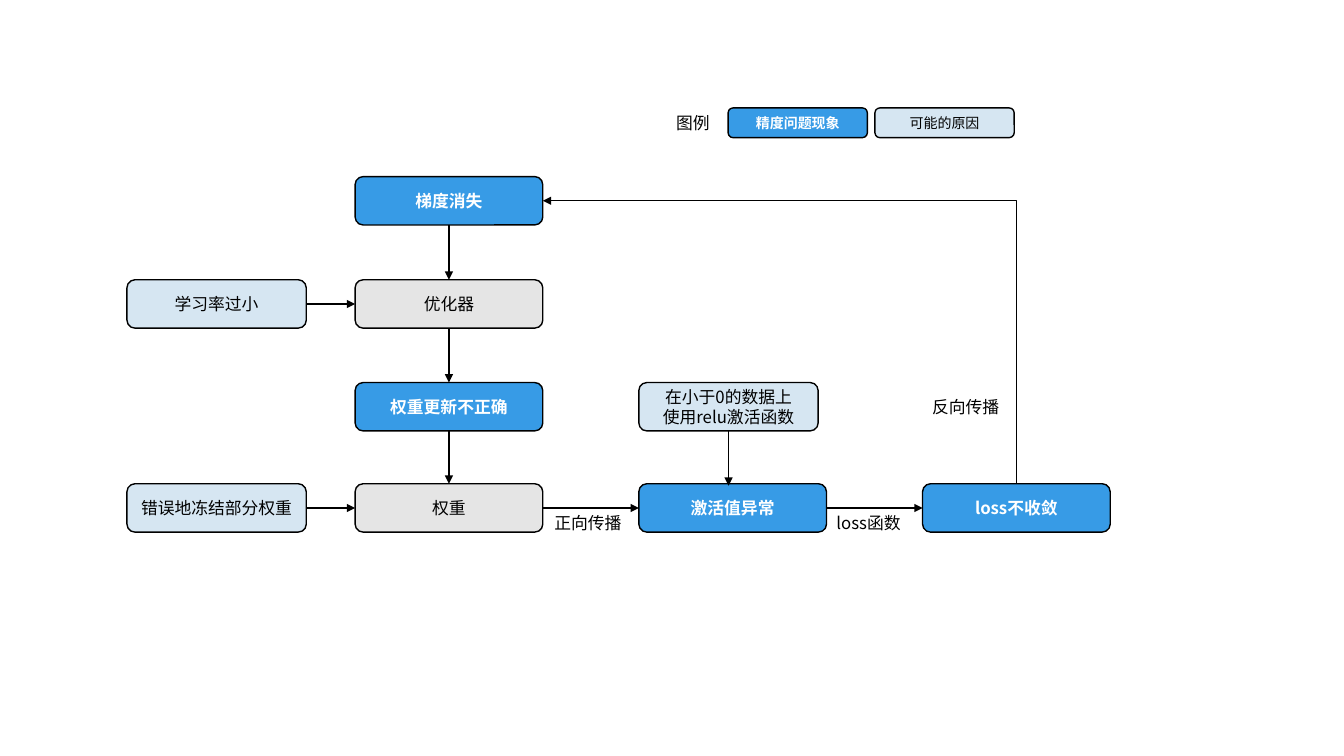
import pptx
import pptx.dml.color
import pptx.enum.shapes
import pptx.enum.text
import pptx.oxml
import pptx.oxml.ns
import pptx.util
from pptx.util import Cm

FONT = "Noto Sans CJK SC"
BLACK, WHITE = "000000", "FFFFFF"
SYMPTOM, CAUSE, STAGE = "379BE6", "D6E6F2", "E5E5E5"
BOX_WIDTH, CAUSE_WIDTH, BOX_HEIGHT = 4.73, 4.52, 1.22
qn = pptx.oxml.ns.qn


def color(value):
    return pptx.dml.color.RGBColor.from_string(value)


def write(shape, text, size=12, font_color=BLACK, bold=False, centered=True):
    shape.text_frame.text = text
    for paragraph in shape.text_frame.paragraphs:
        if centered:
            paragraph.alignment = pptx.enum.text.PP_ALIGN.CENTER
        font = paragraph.font
        font.name, font.size, font.bold = FONT, pptx.util.Pt(size), bold
        font.color.rgb = color(font_color)
        # The East Asian typeface follows the Latin one
        latin = paragraph._p.pPr.find(qn("a:defRPr")).find(qn("a:latin"))
        latin.addnext(pptx.oxml.parse_xml(
            f'<a:ea {pptx.oxml.ns.nsdecls("a")} typeface="{FONT}"/>'))


presentation = pptx.Presentation()
presentation.slide_width, presentation.slide_height = Cm(33.87), Cm(19.05)
slide = presentation.slides.add_slide(presentation.slide_layouts[6])

# Flowchart grid
columns = [8.95 + 7.15 * i for i in range(3)]
rows = [4.45, 7.05, 9.64, 12.19]
cause_left = 3.2

# Boxes: key, text, left, top, width, height, fill, text size
boxes = {}
for key, text, left, top, width, height, fill, size in [
    ("legend symptom", "精度问题现象", 18.35, 2.72, 3.51, 0.75, SYMPTOM, 10),
    ("legend cause", "可能的原因", 22.05, 2.72, 3.51, 0.75, CAUSE, 10),
    ("gradient", "梯度消失", columns[0], rows[0], BOX_WIDTH, BOX_HEIGHT, SYMPTOM, 12),
    ("optimizer", "优化器", columns[0], rows[1], BOX_WIDTH, BOX_HEIGHT, STAGE, 12),
    ("update", "权重更新不正确", columns[0], rows[2], BOX_WIDTH, BOX_HEIGHT, SYMPTOM, 12),
    ("weight", "权重", columns[0], rows[3], BOX_WIDTH, BOX_HEIGHT, STAGE, 12),
    ("activation", "激活值异常", columns[1], rows[3], BOX_WIDTH, BOX_HEIGHT, SYMPTOM, 12),
    ("loss", "loss不收敛", columns[2], rows[3], BOX_WIDTH, BOX_HEIGHT, SYMPTOM, 12),
    ("learning rate", "学习率过小", cause_left, rows[1], CAUSE_WIDTH, BOX_HEIGHT, CAUSE, 12),
    ("frozen", "错误地冻结部分权重", cause_left, rows[3], CAUSE_WIDTH, BOX_HEIGHT, CAUSE, 12),
    ("relu", "在小于0的数据上\n使用relu激活函数", columns[1], rows[2], CAUSE_WIDTH, BOX_HEIGHT, CAUSE, 12),
]:
    box = slide.shapes.add_shape(
        pptx.enum.shapes.MSO_SHAPE.ROUNDED_RECTANGLE,
        Cm(left), Cm(top), Cm(width), Cm(height))
    box.shadow.inherit = False
    box.fill.solid()
    box.fill.fore_color.rgb = color(fill)
    box.line.color.rgb = color(BLACK)
    box.line.width = pptx.util.Pt(1)
    frame = box.text_frame
    frame.word_wrap = True
    frame.vertical_anchor = pptx.enum.text.MSO_ANCHOR.MIDDLE
    frame.margin_left = frame.margin_right = Cm(0.18)
    frame.margin_top = frame.margin_bottom = Cm(0.1)
    is_symptom = fill == SYMPTOM
    write(box, text, size, WHITE if is_symptom else BLACK, is_symptom)
    boxes[key] = box

# Arrows: start box and side, end box and side
TOP, LEFT, BOTTOM, RIGHT = range(4)
for start, start_side, end, end_side in [
    ("gradient", BOTTOM, "optimizer", TOP),
    ("optimizer", BOTTOM, "update", TOP),
    ("update", BOTTOM, "weight", TOP),
    ("weight", RIGHT, "activation", LEFT),
    ("activation", RIGHT, "loss", LEFT),
    ("learning rate", RIGHT, "optimizer", LEFT),
    ("frozen", RIGHT, "weight", LEFT),
    ("relu", BOTTOM, "activation", None),
    ("loss", TOP, "gradient", RIGHT),
]:
    is_elbow = start == "loss"
    kind = pptx.enum.shapes.MSO_CONNECTOR
    arrow = slide.shapes.add_connector(
        kind.ELBOW if is_elbow else kind.STRAIGHT,
        boxes[start].left, boxes[start].top, boxes[end].left, boxes[end].top)
    arrow.begin_connect(boxes[start], start_side)
    if end_side is None:
        # Straight down, left of the middle of the lower box
        arrow.end_x, arrow.end_y = arrow.begin_x, boxes[end].top + Cm(0.05)
    else:
        arrow.end_connect(boxes[end], end_side)
    arrow.line.color.rgb = color(BLACK)
    arrow.line.width = pptx.util.Pt(1)
    properties = arrow._element.spPr
    line = properties.find(qn("a:ln"))
    line.append(line.makeelement(qn("a:tailEnd"), {"type": "triangle"}))
    properties.append(properties.makeelement(qn("a:effectLst"), {}))
    if is_elbow:
        # One bend: up first, then left
        properties.find(qn("a:prstGeom")).set("prst", "bentConnector2")
        transform = properties.find(qn("a:xfrm"))
        transform.attrib.pop("flipH")
        transform.set("rot", str(270 * 60000))
        run, rise = arrow.width, arrow.height
        arrow.left += (run - rise) // 2
        arrow.top -= (run - rise) // 2
        arrow.width, arrow.height = rise, run

# Labels
for text, left, top, width in [
    ("正向传播", 13.72, 12.8, 2.34),
    ("loss函数", 20.83, 12.8, 2.34),
    ("反向传播", 23.24, 9.86, 2.34),
    ("图例", 16.79, 2.72, 1.4),
]:
    label = slide.shapes.add_textbox(Cm(left), Cm(top), Cm(width), Cm(0.76))
    label.text_frame.word_wrap = True
    write(label, text, centered=False)

presentation.save("out.pptx")
